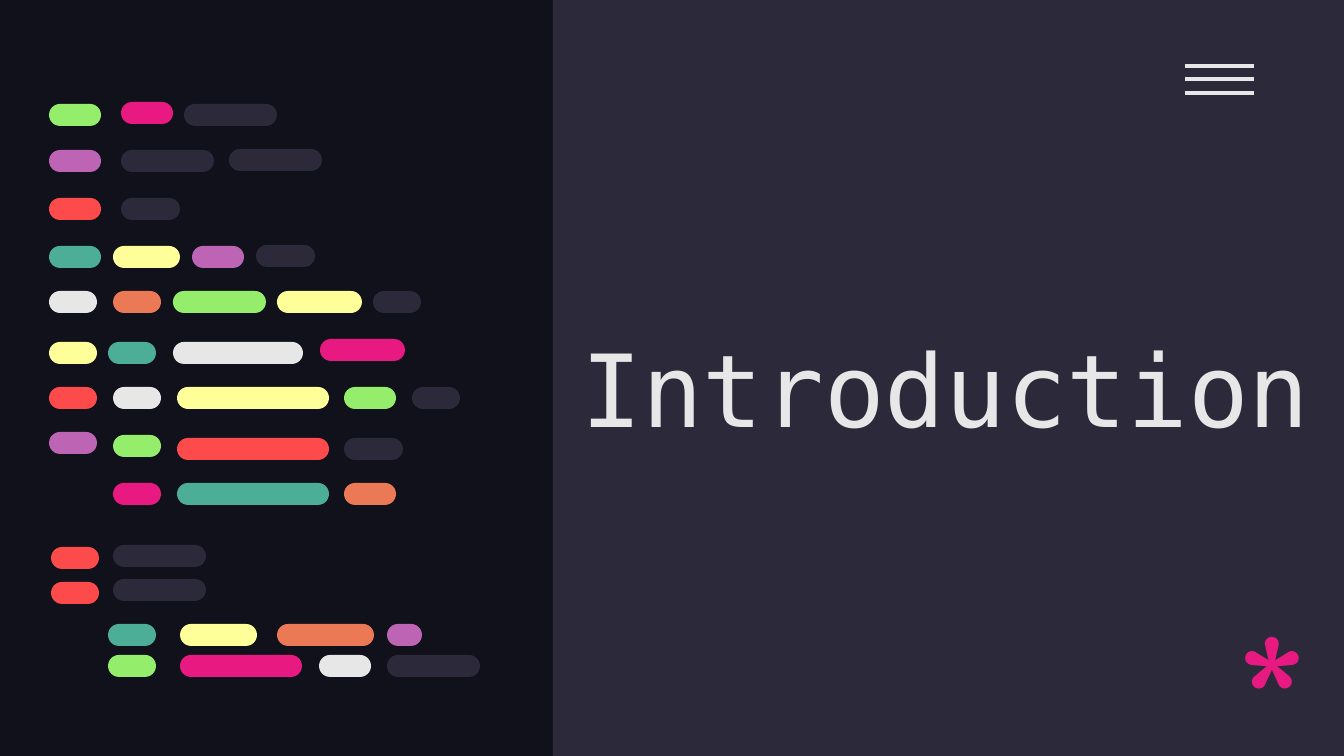
import pptx
import pptx.util
import pptx.dml.color
import pptx.enum.shapes
import pptx.enum.text
import pptx.oxml.ns
import lxml.etree

RGB = pptx.dml.color.RGBColor
NIGHT = RGB(0x10, 0x11, 0x1A)
SLATE = RGB(0x2C, 0x29, 0x3A)
WHITE = RGB(0xE7, 0xE7, 0xE7)
PINK = RGB(0xE8, 0x1A, 0x81)
LIME = RGB(0x94, 0xEE, 0x6B)
MAUVE = RGB(0xBD, 0x64, 0xB5)
RED = RGB(0xFD, 0x4A, 0x4A)
TEAL = RGB(0x4C, 0xAE, 0x97)
CREAM = RGB(0xFF, 0xFF, 0x99)
RUST = RGB(0xEC, 0x79, 0x55)

SHAPE = pptx.enum.shapes.MSO_SHAPE
ANCHOR = pptx.enum.text.MSO_ANCHOR
SCALE = 914400 / 134.4


def px(*nums):
    return [pptx.util.Emu(round(n * SCALE)) for n in nums]


def write(shape, text, font, size, color, anchor):
    frame = shape.text_frame
    frame.word_wrap = True
    frame.auto_size = pptx.enum.text.MSO_AUTO_SIZE.NONE
    frame.vertical_anchor = anchor
    inset = pptx.util.Inches(0.1)
    frame.margin_left = frame.margin_right = inset
    frame.margin_top = frame.margin_bottom = inset
    line = frame.paragraphs[0]
    line.alignment = pptx.enum.text.PP_ALIGN.LEFT
    run = line.add_run()
    run.text = text
    run.font.name = font
    run.font.size = pptx.util.Pt(size)
    run.font.color.rgb = color


deck = pptx.Presentation()
deck.slide_width, deck.slide_height = px(1344, 756)
slide = deck.slides.add_slide(deck.slide_layouts[5])
slide.background.fill.solid()
slide.background.fill.fore_color.rgb = NIGHT

panel = slide.shapes.add_shape(SHAPE.RECTANGLE, *px(553, 0, 791, 756))
panel.shadow.inherit = False
panel.fill.solid()
panel.fill.fore_color.rgb = SLATE
panel.line.fill.background()

menu = slide.shapes.add_group_shape()
for y in (66, 79, 93):
    bar = menu.shapes.add_connector(
        pptx.enum.shapes.MSO_CONNECTOR.STRAIGHT, *px(1185, y, 1254, y))
    bar.line.color.rgb = WHITE
    bar.line.width = pptx.util.Pt(2.25)
    props = bar.element.find(pptx.oxml.ns.qn("p:spPr"))
    lxml.etree.SubElement(props, pptx.oxml.ns.qn("a:effectLst"))

title = slide.shapes.title
title.left, title.top, title.width, title.height = px(568, 296, 782, 165)
write(title, "Introduction", font="DejaVu Sans Mono", size=54,
      color=WHITE, anchor=ANCHOR.BOTTOM)
slide.shapes.element.append(title.element)

star = slide.shapes.add_textbox(*px(1224, 585, 77, 117))
write(star, "*", font="Comfortaa", size=96, color=PINK, anchor=ANCHOR.TOP)

rows = [
    (104, [(49, 52, LIME), (184, 93, SLATE)]),
    (102, [(121, 52, PINK)]),
    (150, [(49, 52, MAUVE), (121, 93, SLATE)]),
    (149, [(229, 93, SLATE)]),
    (198, [(49, 52, RED), (121, 59, SLATE)]),
    (246, [(49, 52, TEAL), (113, 67, CREAM), (192, 52, MAUVE)]),
    (245, [(256, 59, SLATE)]),
    (291, [(49, 48, WHITE), (113, 48, RUST), (173, 93, LIME),
           (277, 85, CREAM), (373, 48, SLATE)]),
    (342, [(49, 48, CREAM), (108, 48, TEAL), (173, 130, WHITE)]),
    (339, [(320, 85, PINK)]),
    (387, [(49, 48, RED), (113, 48, WHITE), (177, 152, CREAM),
           (344, 52, LIME), (412, 48, SLATE)]),
    (432, [(49, 48, MAUVE)]),
    (435, [(113, 48, LIME)]),
    (438, [(177, 152, RED), (344, 59, SLATE)]),
    (483, [(113, 48, PINK), (177, 152, TEAL), (344, 52, RUST)]),
    (547, [(51, 48, RED)]),
    (545, [(113, 93, SLATE)]),
    (582, [(51, 48, RED)]),
    (579, [(113, 93, SLATE)]),
    (624, [(108, 48, TEAL), (180, 77, CREAM), (277, 97, RUST),
           (387, 35, MAUVE)]),
    (655, [(108, 48, LIME), (180, 122, PINK), (319, 52, WHITE),
           (387, 93, SLATE)]),
]

code = slide.shapes.add_group_shape()
for y, pills in rows:
    for x, wide, color in pills:
        pill = code.shapes.add_shape(
            SHAPE.ROUNDED_RECTANGLE, *px(x, y, wide, 22))
        pill.adjustments[0] = 0.5
        pill.shadow.inherit = False
        pill.fill.solid()
        pill.fill.fore_color.rgb = color
        pill.line.fill.background()

deck.save("out.pptx")
